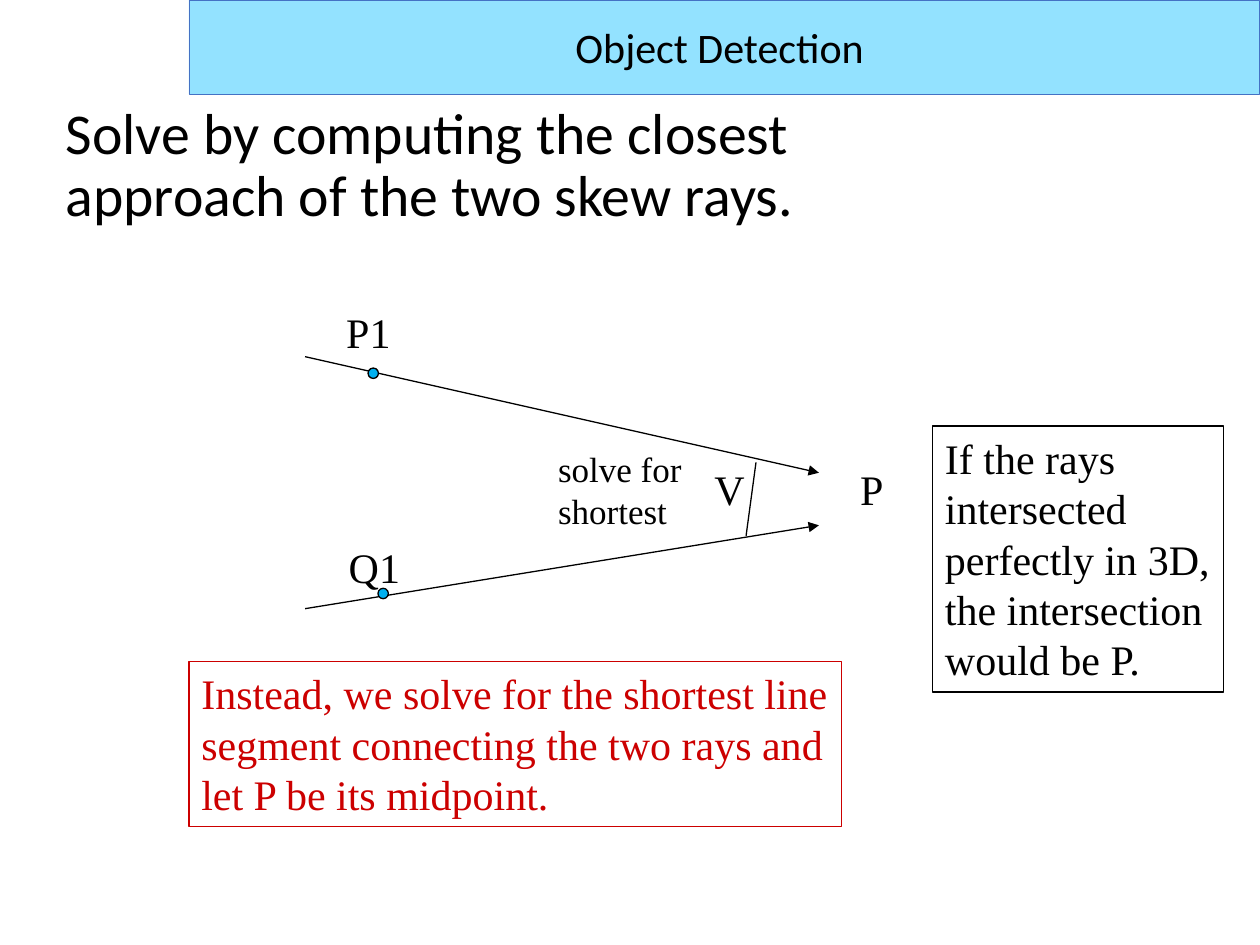
from pptx import Presentation
from pptx.dml.color import RGBColor
from pptx.enum.shapes import MSO_CONNECTOR as Link, MSO_SHAPE as Shape
from pptx.enum.text import MSO_ANCHOR as Anchor, MSO_AUTO_SIZE as Fit, PP_ALIGN as Align
from pptx.oxml.ns import qn
from pptx.util import Cm, Pt
from lxml.etree import SubElement

BLACK = RGBColor(0x00, 0x00, 0x00)
RED = RGBColor(0xCC, 0x00, 0x00)
SKY = RGBColor(0x93, 0xE2, 0xFF)
DOT_BLUE = RGBColor(0x00, 0xB0, 0xF0)
EDGE_BLUE = RGBColor(0x44, 0x72, 0xC4)


def set_all(target, values):
    for name, value in values.items():
        setattr(target, name, value)


def write(shape, lines, size, color=BLACK, font="Times New Roman", wrap=False,
          anchor=Anchor.TOP, fit=Fit.SHAPE_TO_FIT_TEXT, align=Align.LEFT):
    frame = shape.text_frame
    set_all(frame, {"word_wrap": wrap, "vertical_anchor": anchor, "auto_size": fit})
    for index, line in enumerate(lines):
        para = frame.add_paragraph() if index else frame.paragraphs[0]
        para.alignment = align
        span = para.add_run()
        span.text = line
        set_all(span.font, {"name": font, "size": Pt(size)})
        span.font.color.rgb = color


def add_label(page, box, lines, size=24):
    write(page.shapes.add_textbox(*map(Cm, box)), lines, size)


def add_outline(page, kind, box, line_color, fill=None, width=0.75):
    shape = page.shapes.add_shape(kind, *map(Cm, box))
    shape.shadow.inherit = False
    if fill is None:
        shape.fill.background()
    else:
        shape.fill.solid()
        shape.fill.fore_color.rgb = fill
    shape.line.color.rgb = line_color
    shape.line.width = Pt(width)
    return shape


def add_line(page, start, end, arrow=False):
    line = page.shapes.add_connector(Link.STRAIGHT, *map(Cm, start + end))
    line.line.color.rgb = BLACK
    line.line.width = Pt(0.75)
    if arrow:
        SubElement(line.line._get_or_add_ln(), qn("a:tailEnd"), type="triangle")
    SubElement(line._element.spPr, qn("a:effectLst"))


def place_title(page, box, lines):
    title = page.shapes.title
    set_all(title, dict(zip(("left", "top", "width", "height"), map(Cm, box))))
    set_all(title.text_frame, {"word_wrap": True, "vertical_anchor": Anchor.MIDDLE,
                               "auto_size": Fit.NONE})
    para = title.text_frame.paragraphs[0]
    set_all(para, {"alignment": Align.LEFT, "line_spacing": 0.9})
    for index, line in enumerate(lines):
        if index:
            para.add_line_break()
        span = para.add_run()
        span.text = line
        set_all(span.font, {"name": "Calibri", "size": Pt(33)})
        span.font.color.rgb = BLACK


def draw_banner(page, box, text):
    banner = add_outline(page, Shape.RECTANGLE, box, EDGE_BLUE, SKY, 0.5)
    write(banner, [text], 24, font="Calibri", wrap=True, anchor=Anchor.MIDDLE,
          fit=Fit.NONE, align=Align.CENTER)


def draw_note(page, box, lines, color):
    write(add_outline(page, Shape.RECTANGLE, box, color), lines, 24, color)


def draw_rays(page, box):
    left, top = box[:2]

    def at(x, y):
        return left + x, top + y

    ray_length = 10.36
    for start_y, end_y in ((1.14, 3.48), (6.22, 4.54)):
        add_line(page, at(0, start_y), at(ray_length, end_y), arrow=True)
    add_line(page, at(8.89, 4.75), at(9.09, 3.27))

    for text, x, y, width in (("P1", 0.58, 0, 1.4), ("Q1", 0.63, 4.75, 1.55),
                              ("V", 8, 3.17, 1.12), ("P", 10.94, 3.17, 0.99)):
        add_label(page, at(x, y) + (width, 1.27), [text])
    add_label(page, at(4.85, 2.84) + (3, 1.96), ["solve for", "shortest"], 20)

    for x, y in ((1.27, 1.37), (1.47, 5.81)):
        add_outline(page, Shape.OVAL, at(x, y) + (0.21, 0.21), BLACK, DOT_BLUE)


def main():
    deck = Presentation()
    set_all(deck, {"slide_width": Cm(25.4), "slide_height": Cm(19.05)})
    page = deck.slides.add_slide(deck.slide_layouts[5])
    place_title(page, (1.07, 1.52, 22.96, 3.68),
                ["Solve by computing the closest", "approach of the two skew rays."])
    draw_rays(page, (6.15, 6.05))
    draw_note(page, (18.8, 8.59, 5.87, 5.36),
              ["If the rays", "intersected", "perfectly in 3D,",
               "the intersection", "would be P."], BLACK)
    draw_note(page, (3.81, 13.34, 13.16, 3.33),
              ["Instead, we solve for the shortest line",
               "segment connecting the two rays and",
               "let P be its midpoint."], RED)
    draw_banner(page, (3.81, 0, 21.59, 1.9), "Object Detection ")
    deck.save("out.pptx")


if __name__ == "__main__":
    main()
